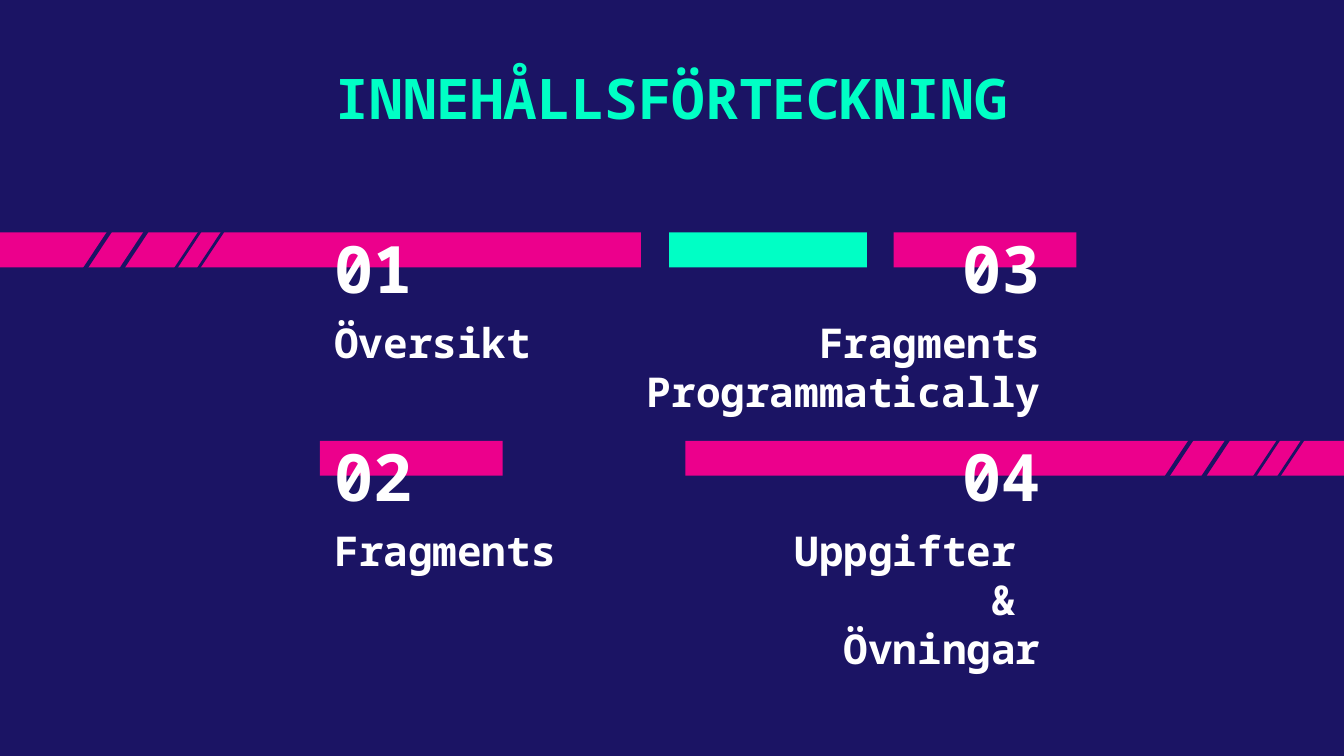
from lxml import etree
from pptx import Presentation
from pptx.dml.color import RGBColor
from pptx.enum.shapes import MSO_CONNECTOR, MSO_SHAPE
from pptx.enum.text import MSO_ANCHOR, PP_ALIGN
from pptx.oxml.ns import qn
from pptx.util import Inches, Pt

RECTANGLE, STRAIGHT = MSO_SHAPE.RECTANGLE, MSO_CONNECTOR.STRAIGHT
TOP, BOTTOM = MSO_ANCHOR.TOP, MSO_ANCHOR.BOTTOM
LEFT, CENTER, RIGHT = PP_ALIGN.LEFT, PP_ALIGN.CENTER, PP_ALIGN.RIGHT
NAVY, PINK, MINT, WHITE = "1B1464", "EC008C", "00FFC5", "FFFFFF"

# Grid: a 16:9 slide, one band per row, text columns between two outer edges
WIDTH = 10
HEIGHT = WIDTH * 9 / 16
ROWS = 1.73, 3.28
BAND_HEIGHT = 0.26
COLUMN_LEFT, COLUMN_RIGHT = 2.39, 7.84
COLUMN_WIDTH = 2.37
NUMBER_DROP, TOPIC_DROP = 0.29, 0.63


def color(hex_value):
    return RGBColor.from_string(hex_value)


def add_text(text, box, size, hex_value, align, anchor=TOP, margin=0):
    frame = slide.shapes.add_textbox(*map(Inches, box)).text_frame
    layout = {"word_wrap": True, "vertical_anchor": anchor,
              "margin_left": Inches(0.1), "margin_right": Inches(0.1),
              "margin_top": Inches(margin), "margin_bottom": Inches(margin)}
    for name, value in layout.items():
        setattr(frame, name, value)
    paragraph = frame.paragraphs[0]
    paragraph.text = text
    paragraph.alignment = align
    for run in paragraph.runs:
        for name, value in {"name": "Noto Sans Mono", "size": Pt(size), "bold": True}.items():
            setattr(run.font, name, value)
        run.font.color.rgb = color(hex_value)


prs = Presentation()
prs.slide_width, prs.slide_height = Inches(WIDTH), Inches(HEIGHT)
slide = prs.slides.add_slide(prs.slide_layouts[6])
slide.background.fill.solid()
slide.background.fill.fore_color.rgb = color(NAVY)

# Bands: row, left, width, colour
for row, left, width, hex_value in [
    (0, 0, 4.77, PINK),
    (0, 6.65, 1.36, PINK),
    (1, 2.38, 1.36, PINK),
    (1, 5.1, 4.9, PINK),
    (0, 4.98, 1.47, MINT),
]:
    band = slide.shapes.add_shape(
        RECTANGLE, *map(Inches, (left, ROWS[row], width, BAND_HEIGHT)))
    band.shadow.inherit = False
    band.fill.solid()
    band.fill.fore_color.rgb = color(hex_value)
    band.line.fill.background()

# Heading
add_text("INNEHÅLLSFÖRTECKNING", (1.4, 0.37, WIDTH - 2 * 1.4, 0.73),
         30, MINT, CENTER, margin=0.1)

# Topics: number, topic, row, alignment, topic width
for number, topic, row, align, topic_width in [
    ("01", "Översikt", 0, LEFT, COLUMN_WIDTH),
    ("03", "Fragments Programmatically", 0, RIGHT, 3.51),
    ("02", "Fragments", 1, LEFT, 3.38),
    ("04", "Uppgifter \v& \vÖvningar", 1, RIGHT, COLUMN_WIDTH),
]:
    for text, drop, width, height, size, anchor in [
        (number, NUMBER_DROP, COLUMN_WIDTH, 0.26, 35, BOTTOM),
        (topic, TOPIC_DROP, topic_width, 0.47, 22, TOP),
    ]:
        left = COLUMN_LEFT if align == LEFT else COLUMN_RIGHT - width
        add_text(text, (left, ROWS[row] + drop, width, height),
                 size, WHITE, align, anchor)

# Slashes cutting the bands, all with the same slope: upper end, line width
SLASH_RUN, SLASH_DROP = 0.57, 0.86
for x, y, weight in [
    (1.03, 1.4, 2.25), (1.19, 1.57, 2.25), (1.53, 1.66, 1.5), (1.7, 1.66, 1.5),
    (9.25, 2.69, 2.25), (9.41, 2.86, 2.25), (9.57, 3.19, 1.5), (9.75, 3.19, 1.5),
]:
    slash = slide.shapes.add_connector(
        STRAIGHT, *map(Inches, (x, y, x - SLASH_RUN, y + SLASH_DROP)))
    slash.line.color.rgb = color(NAVY)
    slash.line.width = Pt(weight)
    etree.SubElement(slash._element.spPr, qn("a:effectLst"))

prs.save("out.pptx")
